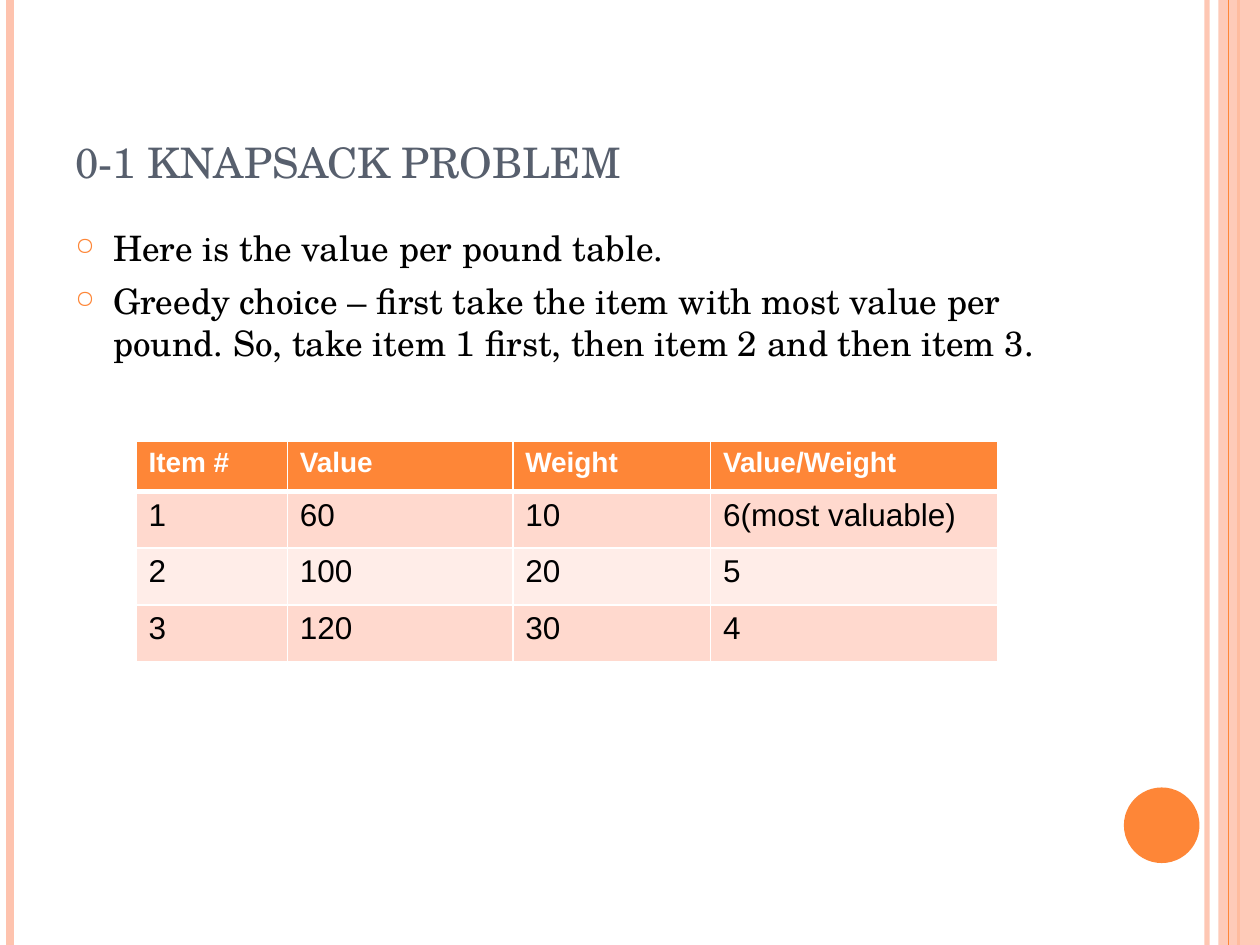
from lxml.etree import SubElement
from pptx import Presentation
from pptx.dml.color import RGBColor
from pptx.enum.shapes import MSO_CONNECTOR, MSO_SHAPE
from pptx.enum.text import MSO_ANCHOR, MSO_AUTO_SIZE, PP_ALIGN
from pptx.oxml import parse_xml
from pptx.oxml.ns import nsdecls, qn
from pptx.util import Inches, Pt

ORANGE = RGBColor(0xFE, 0x86, 0x37)
PEACH = RGBColor(0xFE, 0xC3, 0xAE)
SLATE = RGBColor(0x57, 0x5F, 0x6D)
BLACK = RGBColor(0, 0, 0)
WHITE = RGBColor(0xFF, 0xFF, 0xFF)
BANDS = [RGBColor(0xFF, 0xED, 0xE8), RGBColor(0xFF, 0xD9, 0xCE)]
SERIF = "TeX Gyre Schola"

TITLE = "0-1 knapsack problem"
POINTS = [
    "Here is the value per pound table.",
    "Greedy choice – first take the item with most value per pound. "
    "So, take item 1 first, then item 2 and then item 3.",
]
ROWS = [
    ["Item #", "Value", "Weight", "Value/Weight"],
    ["1", "60", "10", "6(most valuable)"],
    ["2", "100", "20", "5"],
    ["3", "120", "30", "4"],
]
COLUMN_WIDTHS = [1.2, 1.79, 1.57, 2.28]
ROW_HEIGHTS = [0.4, 0.45, 0.45, 0.45]
TITLE_FONT = {"name": SERIF, "size": Pt(30), "bold": False}
POINT_FONT = {"name": SERIF, "size": Pt(20)}
HEAD_FONT = {"name": "Arial", "size": Pt(16), "bold": True}
CELL_FONT = {"name": "Arial", "size": Pt(18), "bold": False}


def style_font(font, color, values):
    for name, value in values.items():
        setattr(font, name, value)
    font.color.rgb = color


def set_alpha(fill_parent, percent):
    color = next(fill_parent.iter(qn("a:srgbClr")))
    SubElement(color, qn("a:alpha"), val=str(percent * 1000))


def add_stripe(page, x, color, width, alpha=None):
    stripe = page.shapes.add_connector(
        MSO_CONNECTOR.STRAIGHT, Inches(x), 0, Inches(x), Inches(7.5))
    stripe.line.color.rgb = color
    stripe.line.width = Pt(width)
    properties = stripe._element.spPr
    if alpha:
        set_alpha(properties, alpha)
    SubElement(properties, qn("a:effectLst"))


def add_solid(page, kind, bounds, color):
    solid = page.shapes.add_shape(kind, *map(Inches, bounds))
    solid.shadow.inherit = False
    solid.fill.solid()
    solid.fill.fore_color.rgb = color
    solid.line.fill.background()
    return solid


def add_decoration(page):
    add_stripe(page, 9.58, PEACH, 3, 93)
    add_stripe(page, 0.08, PEACH, 4.5)
    add_stripe(page, 9.83, ORANGE, 1.5)
    band = add_solid(page, MSO_SHAPE.RECTANGLE, (9.67, 0, 0.33, 7.5), PEACH)
    set_alpha(band._element.spPr, 87)
    add_stripe(page, 9.75, ORANGE, 0.75)
    add_solid(page, MSO_SHAPE.OVAL, (8.92, 6.25, 0.6, 0.6), ORANGE)


def add_title(page):
    title = page.shapes.title
    title.left, title.top, title.width, title.height = map(
        Inches, (0.5, 0.3, 8.17, 1.25))
    frame = title.text_frame
    frame.text = TITLE
    frame.auto_size = MSO_AUTO_SIZE.NONE
    frame.vertical_anchor = MSO_ANCHOR.BOTTOM
    para = frame.paragraphs[0]
    para.alignment = PP_ALIGN.LEFT
    span = para.runs[0]
    style_font(span.font, SLATE, TITLE_FONT)
    span._r.get_or_add_rPr().set("cap", "small")


def add_points(page):
    box = page.shapes.add_textbox(*map(Inches, (0.5, 1.75, 8.33, 1.58)))
    frame = box.text_frame
    frame.word_wrap = True
    for index, text in enumerate(POINTS):
        para = frame.paragraphs[0] if index == 0 else frame.add_paragraph()
        para.text = text
        para.space_before = Pt(6 if index else 0)
        properties = para._p.get_or_add_pPr()
        properties.set("marL", str(Inches(0.3)))
        properties.set("indent", str(-Inches(0.3)))
        bullet_color = SubElement(properties, qn("a:buClr"))
        SubElement(bullet_color, qn("a:srgbClr"), val=str(ORANGE))
        SubElement(properties, qn("a:buSzPct"), val="70000")
        SubElement(properties, qn("a:buChar"), char="○")
        style_font(para.runs[0].font, BLACK, POINT_FONT)


def set_borders(cell, widths):
    properties = cell._tc.get_or_add_tcPr()
    for index, (side, width) in enumerate(widths.items()):
        properties.insert(index, parse_xml(
            f'<a:ln{side} {nsdecls("a")} w="{Pt(width)}"><a:solidFill>'
            f'<a:srgbClr val="{WHITE}"/></a:solidFill></a:ln{side}>'))


def add_value_table(page):
    table = page.shapes.add_table(
        len(ROWS), len(COLUMN_WIDTHS), Inches(1.08), Inches(3.5),
        Inches(sum(COLUMN_WIDTHS)), Inches(sum(ROW_HEIGHTS))).table
    for column, width in zip(table.columns, COLUMN_WIDTHS):
        column.width = Inches(width)
    for r, (row, texts) in enumerate(zip(table.rows, ROWS)):
        row.height = Inches(ROW_HEIGHTS[r])
        for cell, text in zip(row.cells, texts):
            cell.text = text
            cell.fill.solid()
            cell.fill.fore_color.rgb = BANDS[r % 2] if r else ORANGE
            style_font(cell.text_frame.paragraphs[0].runs[0].font,
                       BLACK if r else WHITE, CELL_FONT if r else HEAD_FONT)
            set_borders(cell, {"L": 1, "R": 1, "T": 3 if r == 1 else 1,
                               "B": 1 if r else 3})


def main():
    deck = Presentation()
    deck.slide_width, deck.slide_height = Inches(10), Inches(7.5)
    page = deck.slides.add_slide(deck.slide_layouts[5])
    add_decoration(page)
    add_title(page)
    add_value_table(page)
    add_points(page)
    deck.save("out.pptx")


if __name__ == "__main__":
    main()
